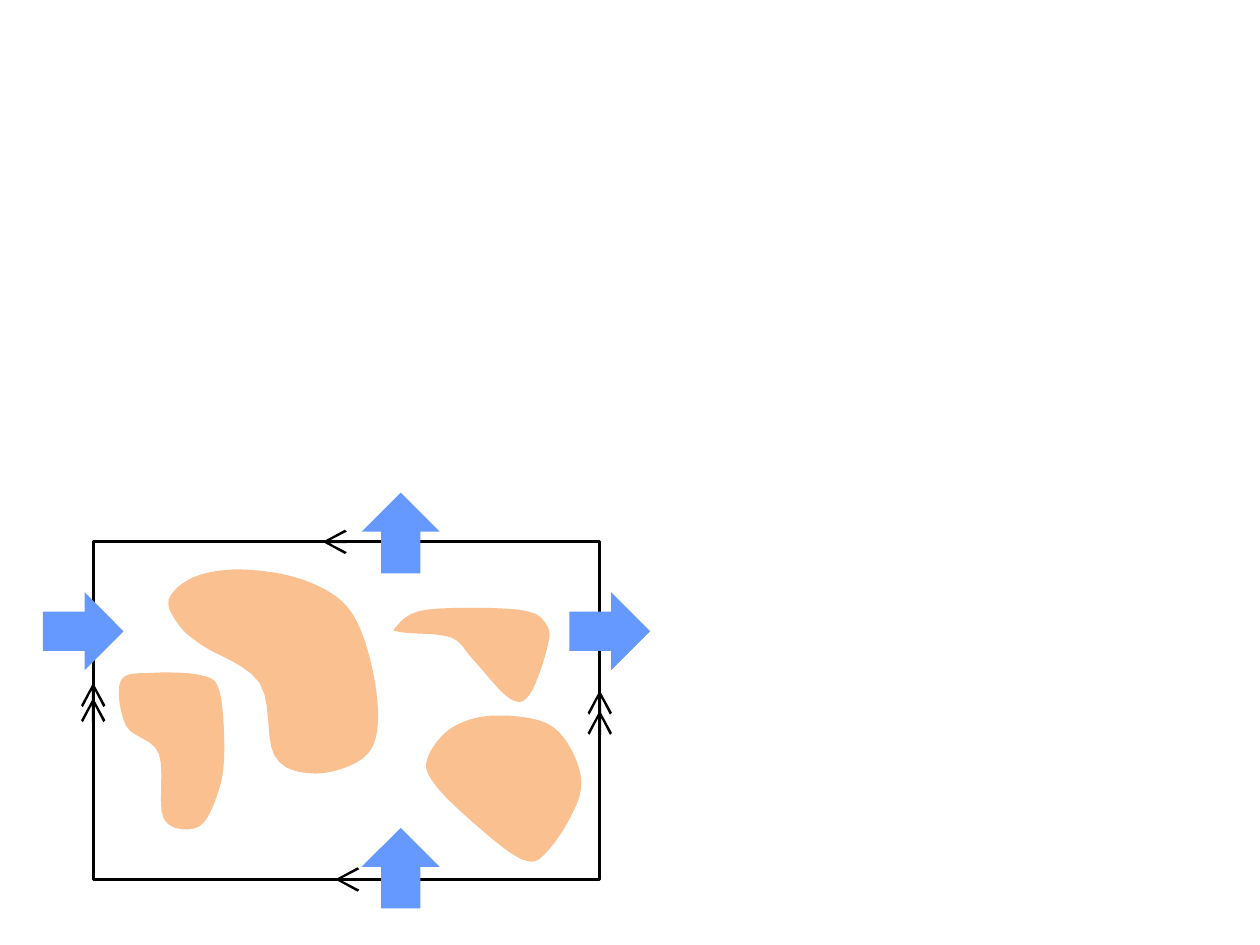
from collections import namedtuple

from lxml import etree
from pptx import Presentation
from pptx import util as u
from pptx.dml import color as c
from pptx.enum import shapes as s
from pptx.oxml import ns

PX = 9144  # EMU in one px, at 100 px to the inch
STEPS = 6  # straight pieces between two points of a coast
Box = namedtuple("Box", "left top width height")
Theme = namedtuple("Theme", "line land flow line_width")
THEME = Theme(line="000000", land="FAC090", flow="6699FF", line_width=0.75)

# Coast points, in px from the corner of the map
LANDS = {
    "south-west": [
        (11, 55), (24, 52), (43, 53), (50, 59), (52, 81), (50, 98),
        (42, 113), (28, 110), (26, 84), (13, 73)],
    "north-west": [
        (30, 23), (40, 14), (59, 11), (83, 15), (101, 26), (110, 47),
        (113, 72), (107, 86), (88, 92), (72, 85), (66, 56), (43, 41),
        (34, 33)],
    "north-east": [
        (120, 34), (132, 27), (169, 27), (180, 33), (180, 43), (173, 61),
        (165, 62), (151, 47), (142, 38), (123, 36)],
    "south-east": [
        (133, 85), (142, 74), (158, 69), (180, 72), (191, 85), (193, 101),
        (181, 122), (170, 126), (147, 108), (134, 94)],
}


def apply_format(target, values):
    for name, value in values.items():
        setattr(target, name, value)


def style_line(line):
    line.fill.solid()
    apply_format(line, {"width": u.Pt(THEME.line_width)})
    line.color.rgb = c.RGBColor.from_string(THEME.line)


def style_fill(shape, fill):
    shape.shadow.inherit = False
    shape.fill.solid()
    shape.fill.fore_color.rgb = c.RGBColor.from_string(fill)
    shape.line.fill.background()


def smooth(points):
    """Closed Catmull-Rom curve through the points."""
    curve = []
    for index in range(len(points)):
        before, start, end, after = (
            points[(index + shift) % len(points)] for shift in (-1, 0, 1, 2))
        for step in range(STEPS):
            t = step / STEPS
            curve.append(tuple(
                q + t * (r - p) / 2
                + t ** 2 * (2 * p - 5 * q + 4 * r - w) / 2
                + t ** 3 * (3 * q - p - 3 * r + w) / 2
                for p, q, r, w in zip(before, start, end, after)))
    return curve


def add_frame(slide, box):
    frame = slide.shapes.add_shape(
        s.MSO_SHAPE.RECTANGLE, *(length * PX for length in box))
    frame.shadow.inherit = False
    frame.fill.background()
    style_line(frame.line)


def add_lands(slide, box):
    for coast in LANDS.values():
        points = [(box.left + x, box.top + y) for x, y in smooth(coast)]
        builder = slide.shapes.build_freeform(
            *(round(value * PX) for value in points[0]), scale=1)
        builder.add_line_segments(
            [(round(x * PX), round(y * PX)) for x, y in points[1:]])
        style_fill(builder.convert_to_shape(), THEME.land)


def add_edge_arrow(slide, start, end):
    arrow = slide.shapes.add_connector(
        s.MSO_CONNECTOR.STRAIGHT, *(value * PX for value in start + end))
    style_line(arrow.line)
    etree.SubElement(arrow.line._get_or_add_ln(), ns.qn("a:tailEnd"),
                     type="arrow")
    etree.SubElement(arrow._element.spPr, ns.qn("a:effectLst"))


def add_edge_arrows(slide, box):
    """Double arrows on the vertical edges, single ones on the horizontal."""
    right, bottom = box.left + box.width, box.top + box.height
    for x, tips in [(box.left, (271, 277)), (right, (274, 282))]:
        for tip in tips:
            add_edge_arrow(slide, (x, tip + 63), (x, tip))
    for y, tip in [(box.top, 128), (bottom, 133)]:
        add_edge_arrow(slide, (tip + 38, y), (tip, y))


def add_flow_arrows(slide, box):
    """Block arrows that enter and leave through opposite edges."""
    for x, y, rotation in [(-20, 20, 180), (189, 20, 180),
                           (106, 114, 90), (106, -19, 90)]:
        arrow = slide.shapes.add_shape(
            s.MSO_SHAPE.LEFT_ARROW, (box.left + x) * PX, (box.top + y) * PX,
            32 * PX, 31 * PX)
        arrow.rotation = rotation
        style_fill(arrow, THEME.flow)


def add_map(slide, box):
    for add_part in (add_frame, add_lands, add_edge_arrows, add_flow_arrows):
        add_part(slide, box)


def main():
    presentation = Presentation()
    apply_format(presentation,
                 {"slide_width": 500 * PX, "slide_height": 375 * PX})
    slide = presentation.slides.add_slide(presentation.slide_layouts[6])
    add_map(slide, Box(37, 215, 201, 134))
    presentation.save("out.pptx")


if __name__ == "__main__":
    main()
